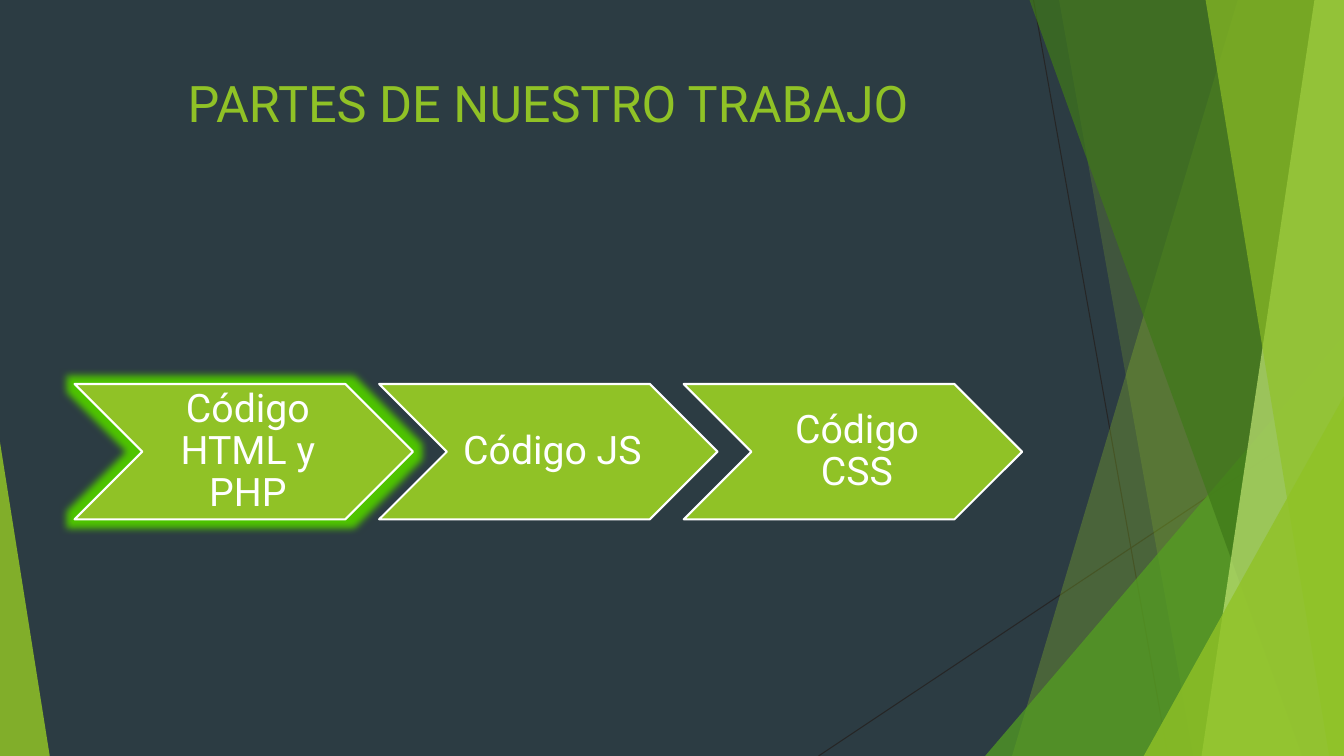
import pptx
import pptx.dml.color
import pptx.enum.shapes
import pptx.enum.text
import pptx.oxml
import pptx.oxml.ns
import pptx.util

RGBColor = pptx.dml.color.RGBColor
MSO_SHAPE = pptx.enum.shapes.MSO_SHAPE
Pt = pptx.util.Pt

SLATE = RGBColor(0x2C, 0x3C, 0x43)
LIME = RGBColor(0x90, 0xC2, 0x26)
PALE_LIME = RGBColor(0xC0, 0xE4, 0x74)
GREEN = RGBColor(0x54, 0xA0, 0x21)
DARK_GREEN = RGBColor(0x3F, 0x78, 0x19)
GLOW_GREEN = RGBColor(0x4E, 0xC4, 0x00)
CHARCOAL = RGBColor(0x26, 0x26, 0x26)
WHITE = RGBColor(0xFF, 0xFF, 0xFF)
FONT = "Roboto"

SLIDE_WIDTH = pptx.util.Inches(13.33)
SLIDE_HEIGHT = pptx.util.Inches(7.5)
STEPS = ["Código HTML y PHP", "Código JS", "Código CSS"]

# Percentages of the slide's width and height
RAYS = [((76.9, 0), (86.9, 100)), ((100, 53.7), (60.9, 100))]
# Kind, top-left corner and bottom-left corner (band) or top (triangle), colour, opacity
FACETS = [
    ("band", 92.1, 75.3, LIME, 30),
    ("band", 78.8, 88.8, LIME, 20),
    ("triangle", 73.3, 44.4, GREEN, 72),
    ("band", 76.6, 96.9, DARK_GREEN, 70),
    ("band", 97.8, 89.4, PALE_LIME, 70),
    ("band", 89.7, 98.9, LIME, 65),
    ("triangle", 85.1, 52.4, LIME, 80),
]


def across(percent):
    return round(SLIDE_WIDTH * percent / 100)


def down(percent):
    return round(SLIDE_HEIGHT * percent / 100)


def add_xml(parent, tag, **attributes):
    child = pptx.oxml.parse_xml(f"<a:{tag} {pptx.oxml.ns.nsdecls('a')}/>")
    for name, value in attributes.items():
        child.set(name, str(value))
    parent.append(child)
    return child


def paint_facet(facet, colour, opacity):
    facet.shadow.inherit = False
    facet.line.fill.background()
    facet.fill.solid()
    facet.fill.fore_color.rgb = colour
    solid = facet._element.spPr.find(pptx.oxml.ns.qn("a:solidFill"))
    add_xml(solid[0], "alpha", val=opacity * 1000)


def add_triangle(slide, left, top, right, apex):
    """Triangle standing on the slide's bottom edge."""
    triangle = slide.shapes.add_shape(
        MSO_SHAPE.ISOSCELES_TRIANGLE, across(left), down(top),
        across(right - left), down(100 - top))
    triangle.adjustments[0] = apex
    return triangle


def add_band(slide, top_left, bottom_left):
    """Full-height band that reaches the slide's right edge."""
    outline = slide.shapes.build_freeform(across(top_left), 0)
    outline.add_line_segments([
        (across(100), 0), (across(100), down(100)), (across(bottom_left), down(100))])
    return outline.convert_to_shape()


def add_facets(slide):
    for (x1, y1), (x2, y2) in RAYS:
        ray = slide.shapes.add_connector(
            pptx.enum.shapes.MSO_CONNECTOR.STRAIGHT,
            across(x1), down(y1), across(x2), down(y2))
        ray.line.color.rgb = CHARCOAL
        ray.line.width = Pt(0.75)
        add_xml(ray._element.spPr, "effectLst")
    for kind, first, second, colour, opacity in FACETS:
        if kind == "band":
            facet = add_band(slide, first, second)
        else:
            facet = add_triangle(slide, first, second, right=100, apex=1)
        paint_facet(facet, colour, opacity)
    paint_facet(add_triangle(slide, 0, 58.5, right=3.7, apex=0), LIME, 85)


def format_text(frame, size, colour):
    frame.word_wrap = True
    paragraph = frame.paragraphs[0]
    paragraph.alignment = pptx.enum.text.PP_ALIGN.CENTER
    paragraph.font.name = FONT
    paragraph.font.size = Pt(size)
    paragraph.font.color.rgb = colour
    return paragraph


def add_title(slide, left, top, width, height):
    title = slide.shapes.title
    title.left, title.top, title.width, title.height = left, top, width, height
    title.text_frame.text = "PARTES DE NUESTRO TRABAJO"
    title.text_frame.vertical_anchor = pptx.enum.text.MSO_ANCHOR.TOP
    format_text(title.text_frame, 36, LIME)


def add_steps(slide, left, top, width, height):
    """Row of chevrons, each overlapping the next by a tenth; the first one glows."""
    chevron_width = width / (1 + 0.9 * (len(STEPS) - 1))
    for index, step in enumerate(STEPS):
        chevron = slide.shapes.add_shape(
            MSO_SHAPE.CHEVRON, round(left + index * 0.9 * chevron_width), top,
            round(chevron_width), height)
        chevron.shadow.inherit = False
        chevron.fill.solid()
        chevron.fill.fore_color.rgb = LIME
        chevron.line.color.rgb = WHITE
        chevron.line.width = Pt(1.5)
        frame = chevron.text_frame
        frame.text = step
        frame.vertical_anchor = pptx.enum.text.MSO_ANCHOR.MIDDLE
        frame.margin_left = pptx.util.Inches(0.12)
        frame.margin_right = frame.margin_top = frame.margin_bottom = pptx.util.Inches(0.04)
        format_text(frame, 28, WHITE).line_spacing = 0.9
        if index == 0:
            effects = chevron._element.spPr.find(pptx.oxml.ns.qn("a:effectLst"))
            glow = add_xml(effects, "glow", rad=Pt(11))
            add_xml(glow, "srgbClr", val=GLOW_GREEN)


def main():
    presentation = pptx.Presentation()
    presentation.slide_width = SLIDE_WIDTH
    presentation.slide_height = SLIDE_HEIGHT
    slide = presentation.slides.add_slide(presentation.slide_layouts.get_by_name("Title Only"))
    slide.background.fill.solid()
    slide.background.fill.fore_color.rgb = SLATE
    add_facets(slide)
    add_title(slide, across(5.55), down(8.9), across(70.5), down(19.2))
    add_steps(slide, across(5.55), down(50.8), across(70.5), down(17.9))
    presentation.save("out.pptx")


if __name__ == "__main__":
    main()
